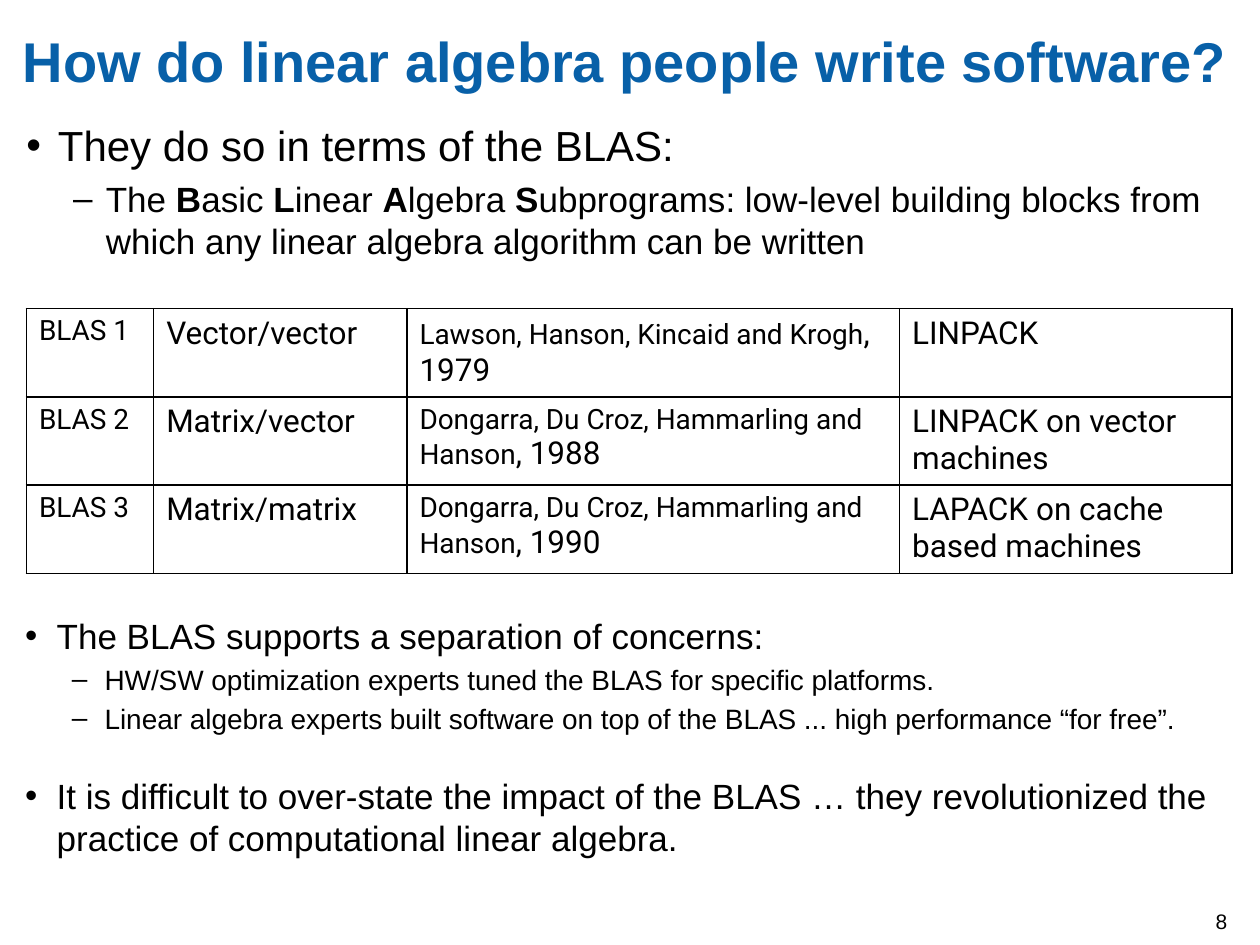
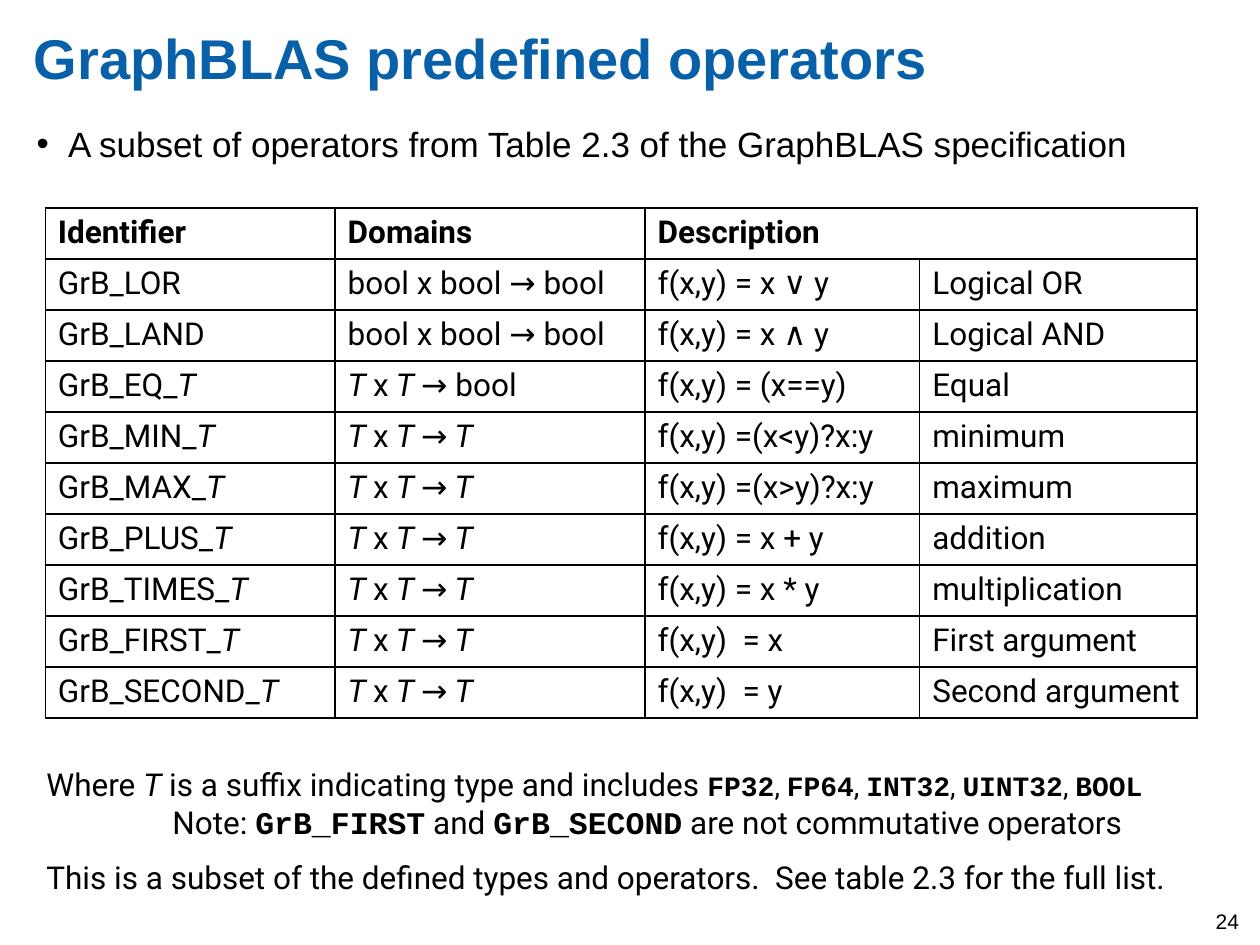
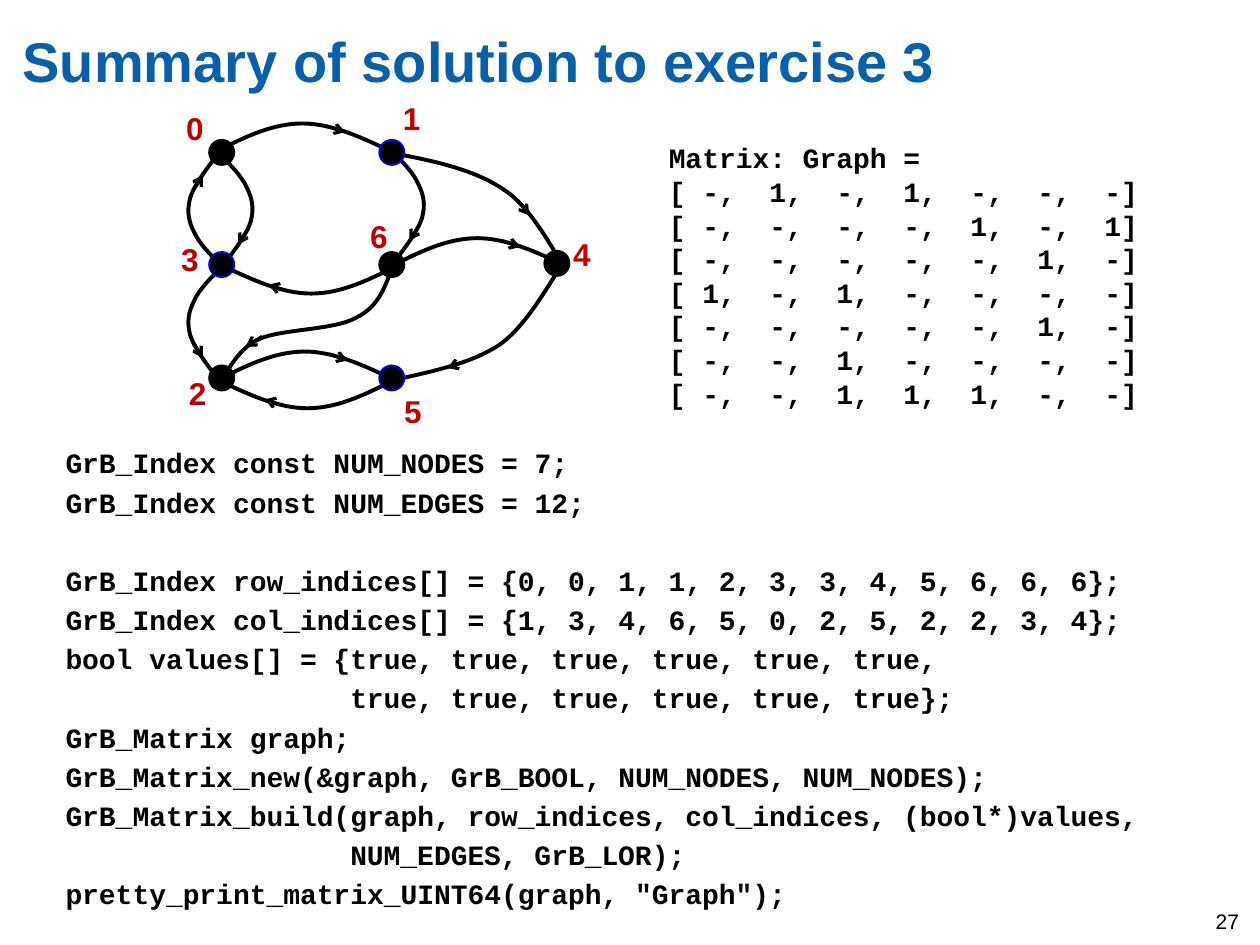
from lxml import etree
from pptx import Presentation
from pptx.dml.color import RGBColor
from pptx.enum.shapes import MSO_CONNECTOR, MSO_SHAPE
from pptx.oxml import parse_xml
from pptx.oxml.ns import nsdecls, qn
from pptx.util import Inches, Pt

STRAIGHT = MSO_CONNECTOR.STRAIGHT
OVAL = MSO_SHAPE.OVAL

# The slide is a grid of 10 columns by 7.5 rows, one inch each.
COLS, ROWS = 10, 7.5
COLORS = {"title": "0860A8", "text": "000000", "label": "C00000", "ring": "0000FF"}
SANS, TABLE_FONT, MONO = "Arial", "Roboto", "Courier New"
BOLD, ITALIC, CODE = {"bold": True}, {"italic": True}, {"font": MONO, "bold": True}
SMALL, SMALL_CODE = {"size": 16}, {"font": MONO, "bold": True, "size": 16}

# Bullet levels: character, left margin, hanging indent
BULLETS = [("•", 0.25, -0.25), ("–", 0.63, -0.26)]

T = ("T", ITALIC)
T_X_T = [("T ", ITALIC), "x", (" T ", ITALIC), "→"]
T_TO_T = T_X_T + [(" T", ITALIC)]

BLAS_COLS = [1.01, 2.01, 3.91, 2.64]
BLAS_LEVELS = [
    ("Vector/vector", "Lawson, Hanson, Kincaid and Krogh", "1979", "LINPACK"),
    ("Matrix/vector", "Dongarra, Du Croz, Hammarling and Hanson", "1988",
     "LINPACK on vector machines"),
    ("Matrix/matrix", "Dongarra, Du Croz, Hammarling and Hanson", "1990",
     "LAPACK on cache based machines"),
]

OPERATOR_COLS = [2.3, 2.46, 2.18, 2.2]
LOGICAL_OPERATORS = [
    ["GrB_LOR", "bool x bool → bool", "f(x,y) = x ∨ y", "Logical OR"],
    ["GrB_LAND", "bool x bool → bool", "f(x,y) = x ∧ y", "Logical AND"],
    [["GrB_EQ_", T], T_X_T + [" bool"], "f(x,y) = (x==y)", "Equal"],
]
TYPED_OPERATORS = [
    ("MIN", "f(x,y) =(x<y)?x:y", "minimum"),
    ("MAX", "f(x,y) =(x>y)?x:y", "maximum"),
    ("PLUS", "f(x,y) = x + y", "addition"),
    ("TIMES", "f(x,y) = x * y", "multiplication"),
    ("FIRST", "f(x,y)  = x", "First argument"),
    ("SECOND", "f(x,y)  = y", "Second argument"),
]

# Node: centre, label corner, ring colour
NODES = [
    ((1.76, 1.21), (1.38, 0.82), "text"),
    ((3.11, 1.21), (3.10, 0.74), "ring"),
    ((1.76, 3.00), (1.40, 2.92), "text"),
    ((1.76, 2.10), (1.34, 1.86), "ring"),
    ((4.42, 2.09), (4.45, 1.82), "text"),
    ((3.11, 3.00), (3.11, 3.06), "ring"),
    ((3.11, 2.10), (2.84, 1.67), "text"),
]
# Bezier points relative to the start of each curve, and its arrow;
# a point left over before the groups of three is reached by a straight line
CURVES = {
    "hump": ([(0, 0), (.22, -.11), (.43, -.21), (.66, -.21), (.89, -.21),
              (1.13, -.10), (1.36, .01)], [(.85, -.19), (1, -.14)]),
    "side": ([(0, 0), (-.08, -.08), (-.16, -.16), (-.20, -.25), (-.24, -.33),
              (-.26, -.41), (-.23, -.52), (-.20, -.62), (-.10, -.75), (0, -.88)],
             [(-.21, -.57), (-.13, -.70)]),
    "outer": ([(-.02, -.03), (0, 0), (-.08, .11), (-.27, .47), (-.49, .62),
               (-.72, .77), (-1.03, .83), (-1.34, .90)], [(-.76, .75), (-.90, .80)]),
    "outer back": ([(-.02, -.02), (0, 0), (-.08, .11), (-.26, .48), (-.49, .62),
                    (-.71, .77), (-1.02, .84), (-1.34, .90)],
                   [(-.37, .53), (-.28, .41)]),
    "wave": ([(-.01, -.01), (0, 0), (.06, -.04), (.12, -.22), (.30, -.30),
              (.48, -.38), (.90, -.37), (1.07, -.47), (1.25, -.56), (1.30, -.72),
              (1.36, -.89)], [(.32, -.32), (.19, -.24)]),
}
# Edge: curve, start of the curve, horizontal and vertical flip
EDGES = {
    (0, 1): ("hump", (1.74, 1.19), 1, 1),
    (0, 3): ("side", (1.76, 1.24), -1, -1),
    (1, 4): ("outer back", (4.48, 2.12), 1, -1),
    (1, 6): ("side", (3.12, 1.21), -1, -1),
    (2, 5): ("hump", (1.76, 3.00), 1, 1),
    (3, 0): ("side", (1.74, 2.09), 1, 1),
    (3, 2): ("side", (1.74, 2.14), 1, -1),
    (4, 5): ("outer", (4.45, 2.12), 1, 1),
    (5, 2): ("hump", (3.10, 3.03), -1, -1),
    (6, 2): ("wave", (1.76, 2.99), 1, 1),
    (6, 3): ("hump", (3.13, 2.12), -1, -1),
    (6, 4): ("hump", (3.13, 2.10), 1, 1),
}


def rgb(name):
    return RGBColor.from_string(COLORS[name])


def add_runs(p, parts, font=SANS, size=18, color="text", bold=False):
    """Write a string, or a list of strings and (string, style) pairs."""
    for part in [parts] if isinstance(parts, str) else parts:
        text, style = (part, {}) if isinstance(part, str) else part
        r = p.add_run()
        r.text = text
        r.font.name = style.get("font", font)
        r.font.size = Pt(style.get("size", size))
        r.font.bold = style.get("bold", bold)
        r.font.italic = style.get("italic", False)
        r.font.color.rgb = rgb(color)


def add_text(s, box, paragraphs, inset=True, wrap=True, **style):
    tf = s.shapes.add_textbox(*map(Inches, box)).text_frame
    tf.word_wrap = wrap
    if not inset:
        tf.margin_left = tf.margin_right = tf.margin_top = tf.margin_bottom = 0
    for i, parts in enumerate(paragraphs):
        p = tf.paragraphs[0] if i == 0 else tf.add_paragraph()
        add_runs(p, parts, **style)
    return tf


def indent(p, margin, hanging=0):
    pPr = p._p.get_or_add_pPr()
    pPr.set("marL", str(Inches(margin)))
    pPr.set("indent", str(Inches(hanging)))
    return pPr


def add_bullets(s, box, items):
    """Each item is level, size, parts and extra space before."""
    tf = add_text(s, box, [], inset=False)
    for i, (level, size, parts, gap) in enumerate(items):
        p = tf.paragraphs[0] if i == 0 else tf.add_paragraph()
        add_runs(p, parts, size=size)
        p.space_before = Pt(size / (5 if i else 4) + gap)
        char, margin, hanging = BULLETS[level]
        pPr = indent(p, margin, hanging)
        etree.SubElement(pPr, qn("a:buFont")).set("typeface", SANS)
        etree.SubElement(pPr, qn("a:buChar")).set("char", char)


def add_slide(prs, title, number, left=0.18, top=0.21):
    s = prs.slides.add_slide(prs.slide_layouts[6])
    tf = add_text(s, (left, top, COLS - left, 0.97), [title], inset=False,
                  size=32, color="title", bold=True)
    tf.paragraphs[0].space_before = Pt(3)
    add_text(s, (9.55, 7.16, 0.45, 0.33), [str(number)], size=12)
    return s


def add_borders(cell):
    tcPr = cell._tc.get_or_add_tcPr()
    for i, side in enumerate(("lnL", "lnR", "lnT", "lnB")):
        tcPr.insert(i, parse_xml(
            f'<a:{side} {nsdecls("a")} w="{Pt(1)}"><a:solidFill>'
            f'<a:srgbClr val="{COLORS["text"]}"/></a:solidFill></a:{side}>'))


def add_grid(s, left, top, widths, row_height, rows):
    shape = s.shapes.add_table(len(rows), len(widths), Inches(left), Inches(top),
                               Inches(sum(widths)), Inches(row_height * len(rows)))
    table = shape.table
    table.first_row = table.horz_banding = False
    for column, width in zip(table.columns, widths):
        column.width = Inches(width)
    for i, row in enumerate(rows):
        table.rows[i].height = Inches(row_height)
        for j, parts in enumerate(row):
            cell = table.cell(i, j)
            cell.fill.background()
            add_borders(cell)
            if parts:
                add_runs(cell.text_frame.paragraphs[0], parts, font=TABLE_FONT)
    return table


def add_curve(s, points):
    """Draw a chain of cubic curves through its control points."""
    (x, y), *rest = [(1000 * x, 1000 * y) for x, y in points]
    builder = s.shapes.build_freeform(x, y, scale=Inches(1) / 1000)
    builder.add_line_segments(rest, close=False)
    shape = builder.convert_to_shape()
    steps = list(shape._element.iter(qn("a:lnTo")))
    for i in range(len(steps) % 3, len(steps), 3):
        curve = etree.Element(qn("a:cubicBezTo"))
        steps[i].addprevious(curve)
        for step in steps[i:i + 3]:
            curve.append(step[0])
            step.getparent().remove(step)
    return shape


def add_edge(s, curve, start, flip_x, flip_y):
    def place(points):
        return [(start[0] + flip_x * x, start[1] + flip_y * y) for x, y in points]

    points, arrow = map(place, CURVES[curve])
    line = add_curve(s, points)
    line.shadow.inherit = False
    line.fill.background()
    line.line.color.rgb = rgb("text")
    line.line.width = Pt(2.25)

    (x1, y1), (x2, y2) = arrow
    head = s.shapes.add_connector(STRAIGHT, *map(Inches, (x1, y1, x2, y2)))
    head.line.color.rgb = rgb("text")
    head.line.width = Pt(1.75)
    etree.SubElement(head.line._get_or_add_ln(), qn("a:tailEnd")).set("type", "arrow")
    etree.SubElement(head._element.spPr, qn("a:effectLst"))


def add_node(s, name, centre, label, ring, size=0.2):
    x, y = centre
    dot = s.shapes.add_shape(OVAL, *map(Inches, (x - size / 2, y - size / 2, size, size)))
    dot.shadow.inherit = False
    dot.fill.solid()
    dot.fill.fore_color.rgb = rgb("text")
    dot.line.color.rgb = rgb(ring)
    dot.line.width = Pt(1)
    add_text(s, (*label, 0.34, 0.4), [name], wrap=False, color="label", bold=True)


def matrix_lines():
    n = range(len(NODES))
    rows = [",  ".join("1" if (i, j) in EDGES else "-" for j in n) for i in n]
    return ["Matrix: Graph ="] + [f"[ {row}]" for row in rows]


def add_code(s, box, lines):
    """Each line is text, left margin and extra space before."""
    tf = add_text(s, box, [text for text, _, _ in lines], inset=False,
                  font=MONO, size=16, bold=True)
    for p, (_, margin, gap) in zip(tf.paragraphs, lines):
        p.space_before = Pt(3.2 + gap)
        indent(p, margin)


def blas_slide(prs):
    s = add_slide(prs, "How do linear algebra people write software?", 8)
    acronym = ["The ", ("B", BOLD), "asic ", ("L", BOLD), "inear ", ("A", BOLD),
               "lgebra ", ("S", BOLD), "ubprograms: low-level building blocks from "
               "which any linear algebra algorithm can be written"]
    add_bullets(s, (0.21, 0.95, 9.54, 1.34), [
        (0, 24, "They do so in terms of the BLAS:", 0),
        (1, 20, acronym, 0),
    ])
    rows = [[[(f"BLAS {i}", SMALL)], kind, [(authors, SMALL), f", {year}"], package]
            for i, (kind, authors, year, package) in enumerate(BLAS_LEVELS, 1)]
    add_grid(s, 0.21, 2.45, BLAS_COLS, 0.68, rows)
    add_bullets(s, (0.2, 4.88, 9.54, 1.96), [
        (0, 20, "The BLAS supports a separation of concerns:", 0),
        (1, 16, "HW/SW optimization experts tuned the BLAS for specific platforms.", 0),
        (1, 16, "Linear algebra experts built software on top of the BLAS ... "
                "high performance “for free”.", 0),
        (0, 20, "It is difficult to over-state the impact of the BLAS … they "
                "revolutionized the practice of computational linear algebra.", 18.4),
    ])


def operators_slide(prs):
    s = add_slide(prs, "GraphBLAS predefined operators", 24, left=0.27, top=0.19)
    add_bullets(s, (0.29, 0.97, 9.01, 0.51), [
        (0, 20, "A subset of operators from Table 2.3 of the GraphBLAS specification", 0),
    ])
    header = [[(name, BOLD)] for name in ("Identifier", "Domains", "Description")] + [None]
    typed = [[[f"GrB_{name}_", T], T_TO_T, formula, meaning]
             for name, formula, meaning in TYPED_OPERATORS]
    table = add_grid(s, 0.36, 1.65, OPERATOR_COLS, 0.405,
                     [header] + LOGICAL_OPERATORS + typed)
    table.cell(0, 2).merge(table.cell(0, 3))

    types = ["Where ", T, " is a suffix indicating type and includes "]
    for i, name in enumerate(("FP32", "FP64", "INT32", "UINT32", "BOOL")):
        types += [(", ", SMALL)] if i else []
        types.append((name, SMALL_CODE))
    note = ["Note: ", ("GrB_FIRST", CODE), " and ", ("GrB_SECOND", CODE),
            " are not commutative operators"]
    tf = add_text(s, (0.27, 6.02, 9.53, 0.71), [types, note], font=TABLE_FONT)
    indent(tf.paragraphs[1], 1)
    add_text(s, (0.27, 6.76, 9.18, 0.4),
             ["This is a subset of the defined types and operators.  "
              "See table 2.3 for the full list."], font=TABLE_FONT)


def solution_slide(prs):
    s = add_slide(prs, "Summary of solution to exercise 3", 27)
    sources, targets = (", ".join(map(str, ends)) for ends in zip(*EDGES))
    half = ", ".join(["true"] * (len(EDGES) // 2))
    hang = 2.26
    add_code(s, (0.52, 3.54, 9.01, 3.84), [
        (f"GrB_Index const NUM_NODES = {len(NODES)};", 0, 1.5),
        (f"GrB_Index const NUM_EDGES = {len(EDGES)};", 0, 0),
        (f"GrB_Index row_indices[] = {{{sources}}};", 0, 22.3),
        (f"GrB_Index col_indices[] = {{{targets}}};", 0, 0),
        (f"bool values[] = {{{half},", 0, 0),
        (f"{half}}};", hang, 0),
        ("GrB_Matrix graph;", 0, 0),
        ("GrB_Matrix_new(&graph, GrB_BOOL, NUM_NODES, NUM_NODES);", 0, 0),
        ("GrB_Matrix_build(graph, row_indices, col_indices, (bool*)values,", 0, 0),
        ("NUM_EDGES, GrB_LOR);", hang, 0),
        ('pretty_print_matrix_UINT64(graph, "Graph");', 0, 0),
    ])
    add_text(s, (5.21, 1.07, 4.04, 2.26), matrix_lines(), font=MONO, size=16, bold=True)
    for edge in EDGES.values():
        add_edge(s, *edge)
    for i, node in enumerate(NODES):
        add_node(s, str(i), *node)


def main():
    prs = Presentation()
    prs.slide_width, prs.slide_height = Inches(COLS), Inches(ROWS)
    blas_slide(prs)
    operators_slide(prs)
    solution_slide(prs)
    prs.save("out.pptx")


if __name__ == "__main__":
    main()
